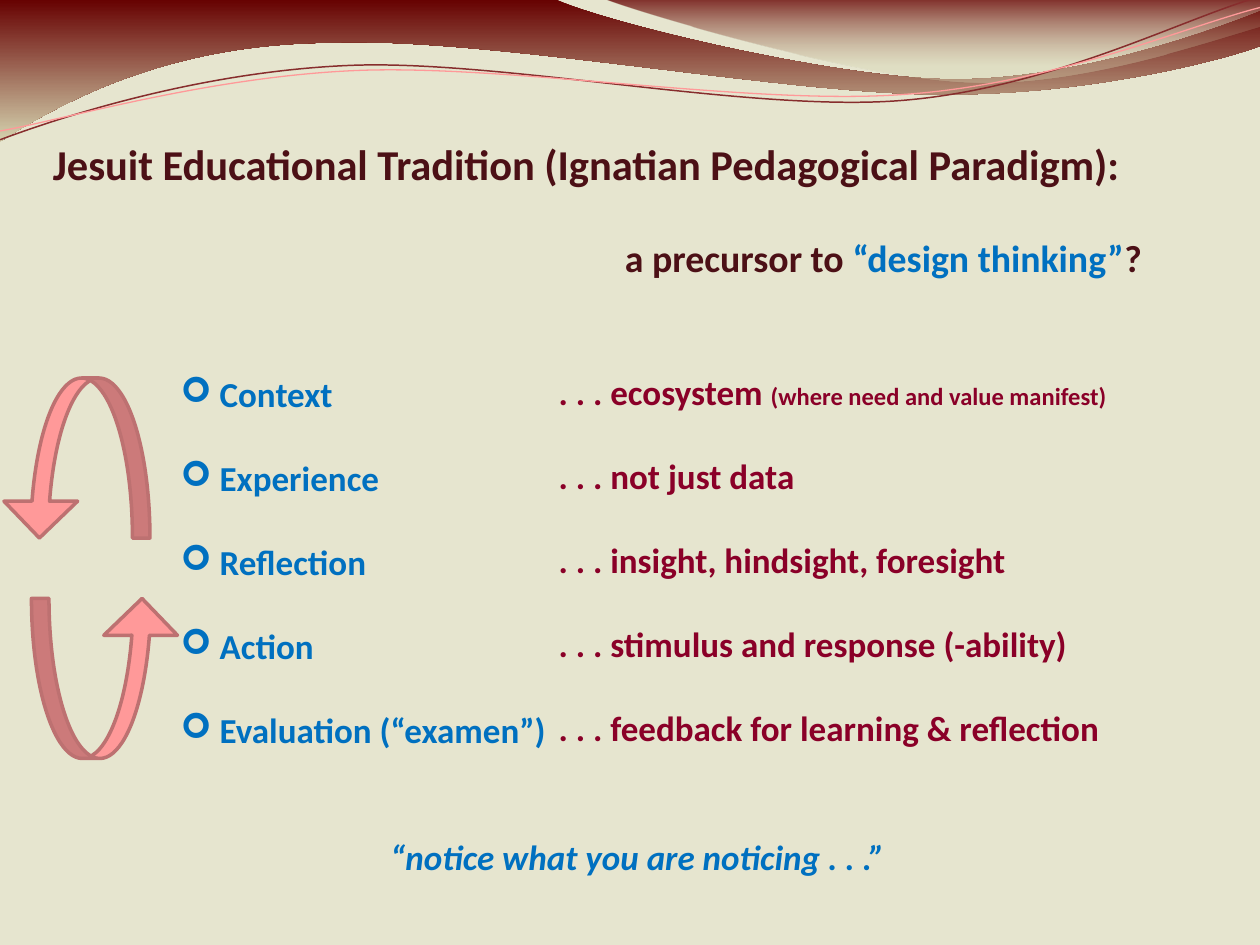
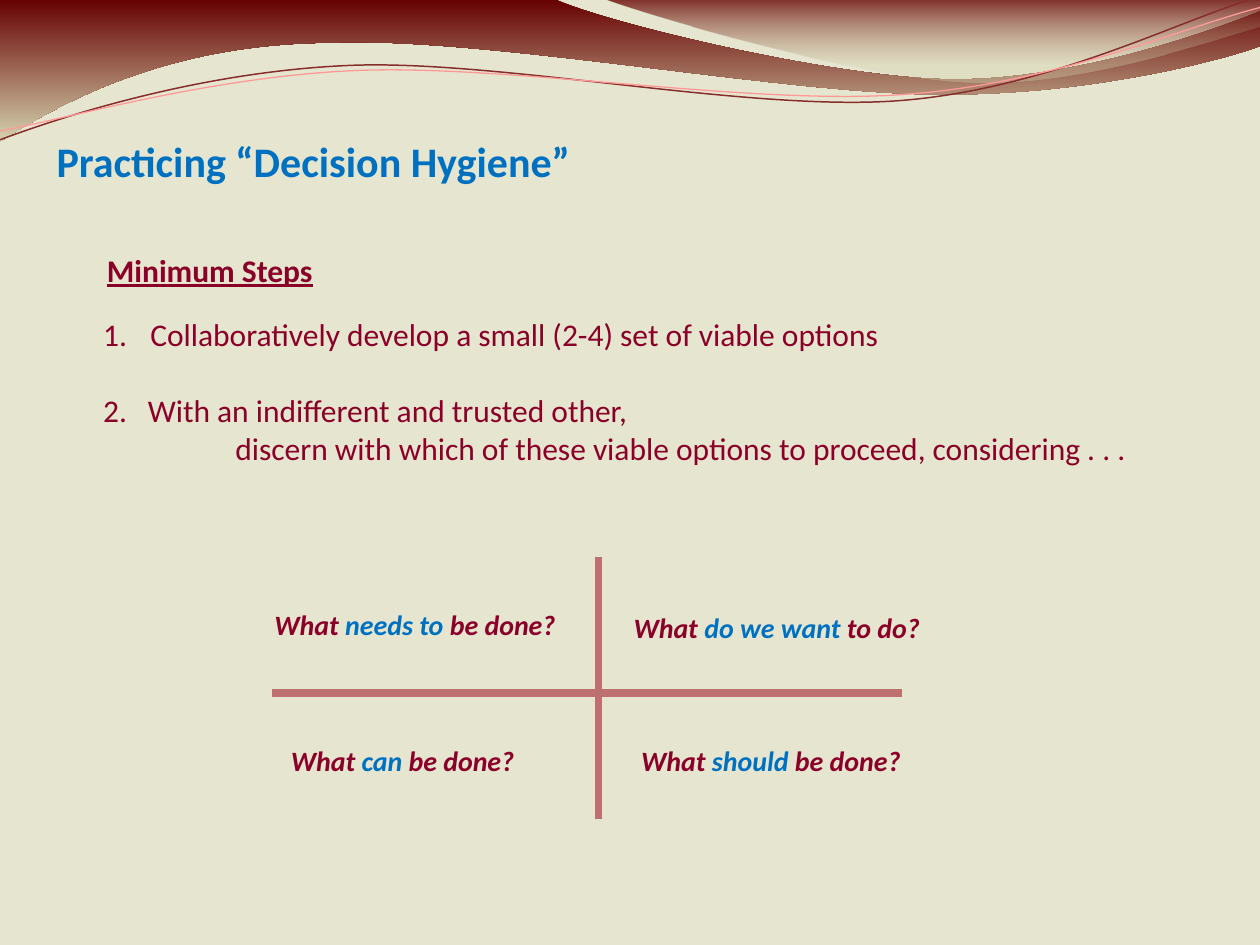
from math import cos, radians, sin

from lxml import etree
from pptx import Presentation
from pptx.dml.color import RGBColor
from pptx.enum.shapes import MSO_CONNECTOR, MSO_SHAPE
from pptx.enum.text import MSO_ANCHOR, MSO_AUTO_SIZE
from pptx.oxml.ns import qn
from pptx.util import Inches, Pt

LINE = MSO_CONNECTOR.STRAIGHT
ARROW = MSO_SHAPE.CURVED_UP_ARROW
BOTTOM = MSO_ANCHOR.BOTTOM
GROW = MSO_AUTO_SIZE.SHAPE_TO_FIT_TEXT
FIXED = MSO_AUTO_SIZE.NONE

SAND = RGBColor(0xE6, 0xE5, 0xCF)
DUNE = RGBColor(0xD5, 0xD3, 0xAF)
MAROON = RGBColor(0x66, 0x00, 0x00)
BRICK = RGBColor(0x87, 0x2D, 0x2D)
PINK = RGBColor(0xFF, 0x99, 0x99)
ROSE = RGBColor(0xBD, 0x71, 0x71)
CROSS = RGBColor(0xBE, 0x70, 0x70)
DARK = RGBColor(0x4C, 0x10, 0x16)
WINE = RGBColor(0x8A, 0x00, 0x28)
BLUE = RGBColor(0x00, 0x70, 0xC0)

FONT = "Calibri"
COLS, ROWS = 100, 75
CELL = Inches(0.1)
TILT = 2.7
PIVOT = (50, 5.8)

BAND = [(0, 0), (44, -0.1),
        (47.6, 1.7, 66.4, 6.3, 75.8, 6.3), (85.3, 6.3, 95.8, 2.6, 100, 0.9),
        (100.1, 3.6),
        (98.3, 4.4, 87, 7.6, 74.6, 7.5), (62.2, 7.5, 38.2, 2.8, 25.7, 3.4),
        (12.9, 3.6, 4.6, 8.3, -0.1, 11.3), (0, 0)]
CREST = [(47.9, -0.1),
         (50.9, 1.1, 68.2, 6.2, 76.9, 6.5), (85.6, 6.9, 96.1, 3.2, 100, 2.1),
         (100, 0), (47.9, -0.1)]
STRANDS = [
    ([(0, 11.1), (4.8, 9.3, 15.8, 5.7, 27.7, 5.2),
      (39.5, 4.7, 59.3, 8.9, 71.3, 8), (83.3, 7.1, 93.8, 1.5, 99.8, -0.2)],
     BRICK, 0.85),
    ([(0, 10.4), (4.7, 9.6, 16.4, 6.1, 28.3, 5.6),
      (40.3, 5.1, 59.7, 8.4, 71.7, 7.5), (83.6, 6.7, 94.1, 2.1, 100, 0.6)],
     PINK, 0.75),
]


def cells(*nums):
    return [round(n * CELL) for n in nums]


def pairs(part):
    return list(zip(part[::2], part[1::2]))


def turn(part):
    angle = radians(TILT)
    turned = []
    for x, y in pairs(part):
        dx, dy = x - PIVOT[0], y - PIVOT[1]
        turned += [PIVOT[0] + dx * cos(angle) - dy * sin(angle),
                   PIVOT[1] + dx * sin(angle) + dy * cos(angle)]
    return tuple(turned)


def draw(slide, parts, close):
    ends = [cells(*part[-2:]) for part in parts]
    pen = slide.shapes.build_freeform(*ends[0])
    pen.add_line_segments(ends[1:], close=close)
    shape = pen.convert_to_shape()
    shape.shadow.inherit = False
    left, top = shape.left, shape.top
    sides = list(shape._element.spPr.iter(qn("a:lnTo")))
    for side, part in zip(sides, parts[1:]):
        if len(part) > 2:
            side.clear()
            side.tag = qn("a:cubicBezTo")
            for dot in pairs(part):
                x, y = cells(*dot)
                etree.SubElement(side, qn("a:pt"), x=str(x - left), y=str(y - top))
    return shape


def wave(slide, parts, end=1, alphas=()):
    shape = draw(slide, parts, True)
    shape.line.fill.background()
    fill = shape.fill
    fill.gradient()
    fill.gradient_angle = 270
    for stop, hue, spot in zip(fill.gradient_stops, (MAROON, DUNE), (0, end)):
        stop.color.rgb = hue
        stop.position = spot
    tints = list(shape._element.spPr.iter(qn("a:srgbClr")))
    for tint, alpha in zip(tints, alphas):
        etree.SubElement(tint, qn("a:alpha"), val=str(alpha * 1000))


def strand(slide, parts, hue, width):
    shape = draw(slide, [turn(part) for part in parts], False)
    shape.rotation = 360 - TILT
    shape.fill.background()
    shape.line.color.rgb = hue
    shape.line.width = Pt(width)


def start(deck):
    slide = deck.slides.add_slide(deck.slide_layouts[6])
    fill = slide.background.fill
    fill.solid()
    fill.fore_color.rgb = SAND
    wave(slide, BAND)
    wave(slide, CREST, 0.8, (80, 35))
    for parts, hue, width in STRANDS:
        strand(slide, parts, hue, width)
    return slide


def style(run, size, hue, bold, slant):
    font = run.font
    font.name = FONT
    font.size = Pt(size)
    font.color.rgb = hue
    font.bold = bold
    font.italic = slant


def text(slide, at, lines, size, hue, bold=True, slant=False, gap=0, wrap=False):
    frame = slide.shapes.add_textbox(*cells(*at)).text_frame
    frame.word_wrap = wrap
    frame.auto_size = GROW
    for num, line in enumerate(lines):
        para = frame.add_paragraph() if num else frame.paragraphs[0]
        if num:
            para.space_before = Pt(gap)
        for part in [line] if isinstance(line, str) else line:
            words, tone, points = (part, hue, size) if isinstance(part, str) else part
            run = para.add_run()
            run.text = words
            style(run, points, tone, bold, slant)
    return frame


def indent(para, left, hang=0):
    props = para._p.get_or_add_pPr()
    props.set("marL", str(cells(left)[0]))
    props.set("indent", str(-cells(hang)[0]))
    return props


def arrow(slide, col, row, angle):
    shape = slide.shapes.add_shape(ARROW, *cells(col, row, 11.7, 12.7))
    shape.shadow.inherit = False
    shape.rotation = angle
    shape.adjustments[0] = 0.119
    shape.fill.solid()
    shape.fill.fore_color.rgb = PINK
    shape.line.color.rgb = ROSE
    shape.line.width = Pt(2)


def rule(slide, *ends):
    line = slide.shapes.add_connector(LINE, *cells(*ends))
    line.line.color.rgb = CROSS
    line.line.width = Pt(4.5)
    etree.SubElement(line._element.spPr, qn("a:effectLst"))


def paradigm(deck):
    slide = start(deck)
    head = text(slide, (4.2, 16.6, 90, 5.6), [
        "Jesuit Educational Tradition (Ignatian Pedagogical Paradigm):",
        ["a precursor to ", ("“design thinking”", BLUE, 21.6), "?"],
    ], 21.6, DARK, gap=26, wrap=True)
    head.paragraphs[0].runs[0].font.size = Pt(24.3)
    head.auto_size = FIXED
    head.vertical_anchor = BOTTOM
    head.margin_left = head.margin_right = head.margin_bottom = 0
    indent(head.paragraphs[1], 45.4)

    stages = text(slide, (13.35, 29.1, 31.4, 31.3), [
        "Context", "Experience", "Reflection", "Action", "Evaluation (“examen”)",
    ], 20, BLUE, gap=24)
    for para in stages.paragraphs:
        props = indent(para, 3.1, 3.1)
        etree.SubElement(props, qn("a:buFont"), typeface="Wingdings")
        etree.SubElement(props, qn("a:buChar"), char="➢")

    text(slide, (43.35, 28.9, 47, 31.3), [
        [". . . ecosystem ", ("(where need and value manifest)", WINE, 14)],
        ". . . not just data",
        ". . . insight, hindsight, foresight",
        ". . . stimulus and response (-ability)",
        ". . . feedback for learning & reflection",
    ], 20, WINE, gap=24)
    text(slide, (30, 65.8, 41.6, 4.4), ["“notice what you are noticing . . .”"],
         20, BLUE, slant=True)
    arrow(slide, 2.5, 47.5, 0)
    arrow(slide, 0.2, 30, 180)


def hygiene(deck):
    slide = start(deck)
    text(slide, (3.5, 10.3, 43.2, 5), ["Practicing “Decision Hygiene”"], 24, BLUE)
    label = text(slide, (7.5, 19.4, 18.5, 4), ["Minimum Steps"], 18, WINE)
    label.paragraphs[0].runs[0].font.underline = True

    steps = text(slide, (7.2, 21.5, 84.3, 16.2), [
        "Collaboratively develop a small (2-4) set of viable options",
        "2.\tWith an indifferent and trusted other,",
        "discern with which of these viable options to proceed, considering . . .",
    ], 18, WINE, bold=False)
    first, second, third = steps.paragraphs
    first.line_spacing = 2.0
    etree.SubElement(indent(first, 3.75, 3.75), qn("a:buAutoNum"), type="arabicPeriod")
    second.space_before = Pt(22)
    indent(second, 3.55, 3.55)
    indent(third, 10.5)

    rule(slide, 47.5, 44.2, 47.5, 65)
    rule(slide, 71.6, 55, 21.6, 55)
    for col, row, wide, key, tail in [
        (49.9, 58.5, 24, "should", " be done?"),
        (20.8, 47.7, 25.7, "needs to", " be done?"),
        (22.1, 58.5, 25.7, "can", " be done?"),
        (49.3, 48, 25.6, "do we want", " to do?"),
    ]:
        text(slide, (col, row, wide, 3.7), [["What ", (key, BLUE, 16), tail]],
             16, WINE, slant=True, wrap=True)


def main():
    deck = Presentation()
    deck.slide_width, deck.slide_height = cells(COLS, ROWS)
    paradigm(deck)
    hygiene(deck)
    deck.save("out.pptx")


main()
